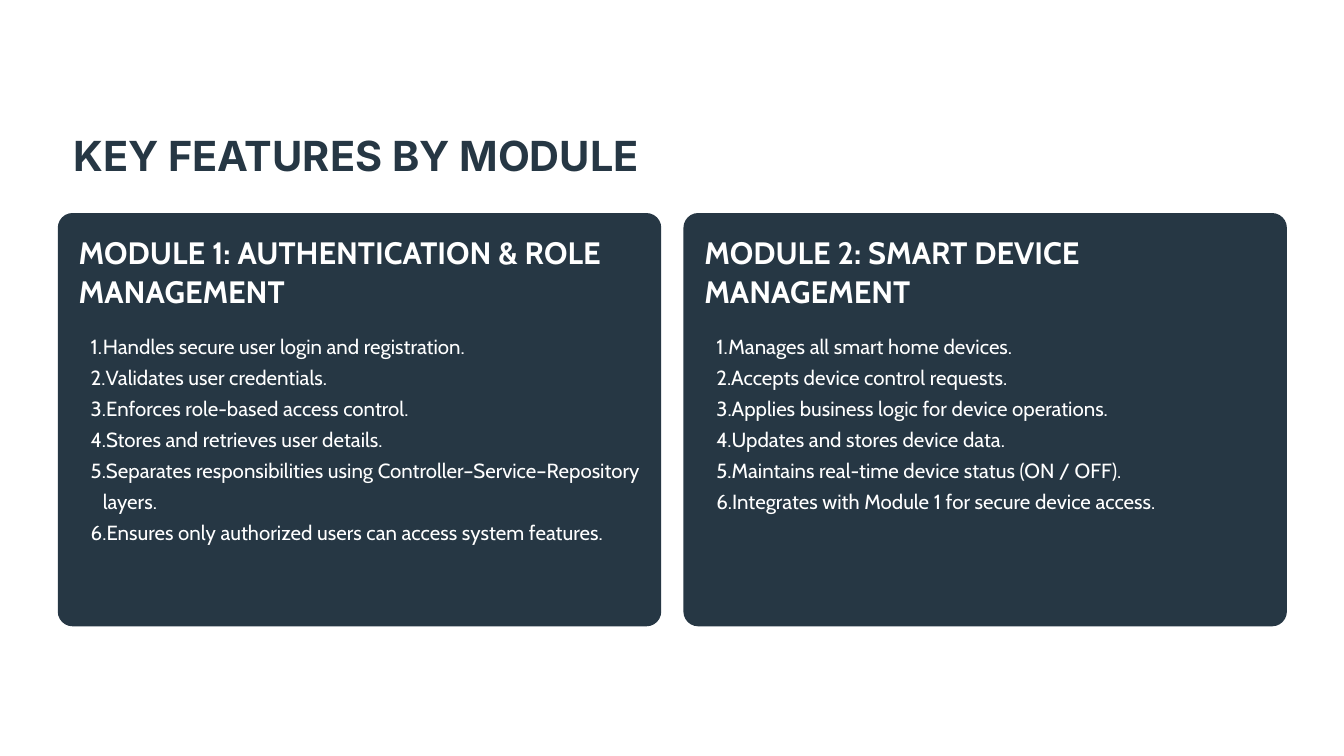
from dataclasses import dataclass

from lxml import etree
from pptx import Presentation
from pptx.dml.color import RGBColor
from pptx.enum.shapes import MSO_SHAPE
from pptx.enum.text import MSO_ANCHOR, MSO_AUTO_SIZE, PP_ALIGN
from pptx.oxml.ns import qn
from pptx.util import Inches, Pt

ROUNDED = MSO_SHAPE.ROUNDED_RECTANGLE
TOP = MSO_ANCHOR.TOP
NO_AUTOSIZE = MSO_AUTO_SIZE.NONE
LEFT = PP_ALIGN.LEFT
COMPARISON_LAYOUT = 4


@dataclass(frozen=True)
class TextStyle:
    font: str
    size: float
    line_spacing: float
    color: RGBColor
    bold: bool = False


@dataclass(frozen=True)
class Theme:
    navy = RGBColor.from_string("263744")
    white = RGBColor.from_string("FFFFFF")
    title = TextStyle("Inter", 44.4, 55.6, navy, True)
    heading = TextStyle("Cabin", 33.1, 41.2, white, True)
    item = TextStyle("Cabin", 21.9, 33.1, white)


MODULES = [
    ("MODULE 1: AUTHENTICATION & ROLE MANAGEMENT", [
        "Handles secure user login and registration.",
        "Validates user credentials.",
        "Enforces role-based access control.",
        "Stores and retrieves user details.",
        "Separates responsibilities using Controller–Service–Repository layers.",
        "Ensures only authorized users can access system features.",
    ]),
    ("MODULE 2: SMART DEVICE MANAGEMENT", [
        "Manages all smart home devices.",
        "Accepts device control requests.",
        "Applies business logic for device operations.",
        "Updates and stores device data.",
        "Maintains real-time device status (ON / OFF).",
        "Integrates with Module 1 for secure device access.",
    ]),
]


class SlideBuilder:
    def __init__(self, slide, theme):
        self.slide = slide
        self.theme = theme
        background = slide.background.fill
        background.solid()
        background.fore_color.rgb = theme.white

    def card(self, left, top, width, height, radius):
        shape = self.slide.shapes.add_shape(
            ROUNDED, Inches(left), Inches(top), Inches(width), Inches(height))
        shape.adjustments[0] = radius / min(width, height)
        shape.shadow.inherit = False
        shape.fill.solid()
        shape.fill.fore_color.rgb = self.theme.navy
        shape.line.fill.background()

    def text(self, index, left, top, width, height, lines, style, numbered=False):
        shape = self.slide.placeholders[index]
        shape.left, shape.top = Inches(left), Inches(top)
        shape.width, shape.height = Inches(width), Inches(height)
        self.slide.shapes.element.append(shape.element)
        frame = shape.text_frame
        frame.text = "\n".join(lines)
        frame.word_wrap = True
        frame.auto_size = NO_AUTOSIZE
        frame.vertical_anchor = TOP
        frame.margin_left = frame.margin_right = 0
        frame.margin_top = frame.margin_bottom = 0
        for paragraph in frame.paragraphs:
            if numbered:
                self.number(paragraph)
            paragraph.alignment = LEFT
            paragraph.line_spacing = Pt(style.line_spacing)
            paragraph.space_before = Pt(0)
            for run in paragraph.runs:
                run.font.name = style.font
                run.font.size = Pt(style.size)
                run.font.bold = style.bold
                run.font.color.rgb = style.color

    def number(self, paragraph):
        properties = paragraph._p.get_or_add_pPr()
        properties.set("marL", str(Inches(0.36)))
        properties.set("indent", str(Inches(-0.18)))
        etree.SubElement(properties, qn("a:buFontTx"))
        etree.SubElement(properties, qn("a:buAutoNum"), type="arabicPeriod")


def main():
    presentation = Presentation()
    presentation.slide_width = Inches(20)
    presentation.slide_height = Inches(11.25)
    layout = presentation.slide_layouts[COMPARISON_LAYOUT]
    theme = Theme()
    builder = SlideBuilder(presentation.slides.add_slide(layout), theme)

    builder.text(0, 1.09, 1.9, 12, 0.77, ["KEY FEATURES BY MODULE"], theme.title)
    card_width, gap, padding = 8.98, 0.33, 0.31
    text_width = card_width - 2 * padding
    for column, (heading, features) in enumerate(MODULES):
        left = 0.86 + column * (card_width + gap)
        heading_index = 1 + 2 * column
        builder.card(left, 3.17, card_width, 6.15, 0.22)
        builder.text(heading_index, left + padding, 3.46, text_width, 1.15,
                     [heading], theme.heading)
        builder.text(heading_index + 1, left + padding, 4.88, text_width, 3.64,
                     features, theme.item, numbered=True)

    presentation.save("out.pptx")


if __name__ == "__main__":
    main()
